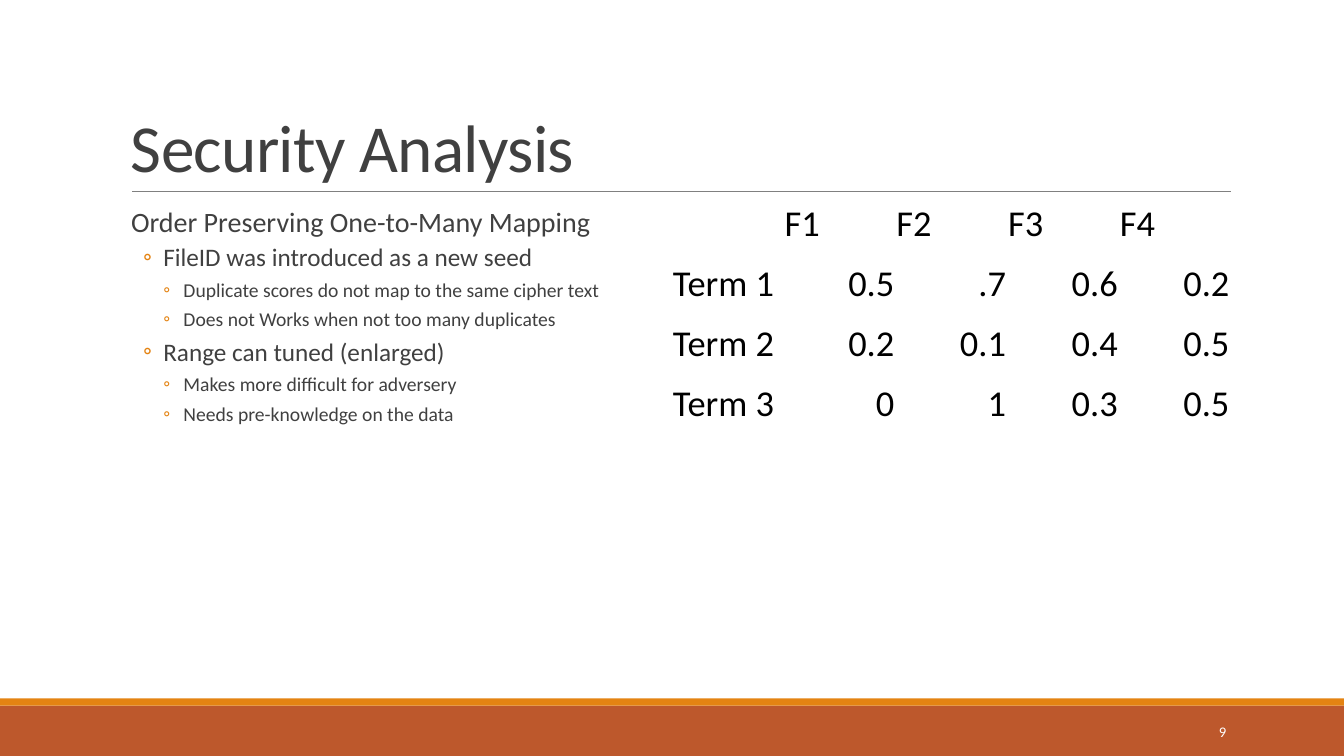
from lxml import etree
from pptx import Presentation
from pptx.dml.color import RGBColor
from pptx.enum.shapes import MSO_CONNECTOR, MSO_SHAPE
from pptx.enum.text import MSO_ANCHOR, PP_ALIGN
from pptx.oxml.ns import qn
from pptx.util import Inches, Pt

RECTANGLE, STRAIGHT = MSO_SHAPE.RECTANGLE, MSO_CONNECTOR.STRAIGHT
BOTTOM, MIDDLE = MSO_ANCHOR.BOTTOM, MSO_ANCHOR.MIDDLE
LEFT, RIGHT = PP_ALIGN.LEFT, PP_ALIGN.RIGHT

FONT = "Calibri"
COLORS = {
    "band": "BD582C", "accent": "E48312", "rule": "808080",
    "text": "404040", "table": "000000", "number": "FFFFFF",
}
NO_GRID_STYLE = "{2D5ABB26-0587-4C30-8999-92F81FD0307C}"
WIDTH, HEIGHT = Inches(13.33), Inches(7.5)

# Per outline level: size, left margin (in), hanging indent (in), space before, space after
LEVELS = [(20, 0.1, 0, 12, 2), (18, 0.42, 0.2, 2, 4), (14, 0.62, 0.2, 2, 4)]
OUTLINE = [
    (0, "Order Preserving One-to-Many Mapping"),
    (1, "FileID was introduced as a new seed"),
    (2, "Duplicate scores do not map to the same cipher text"),
    (2, "Does not Works when not too many duplicates"),
    (1, "Range can tuned (enlarged)"),
    (2, "Makes more difficult for adversery"),
    (2, "Needs pre-knowledge on the data"),
]
SCORES = [
    ["", "F1", "F2", "F3", "F4"],
    ["Term 1", "0.5", ".7", "0.6", "0.2"],
    ["Term 2", "0.2", "0.1", "0.4", "0.5"],
    ["Term 3", "0", "1", "0.3", "0.5"],
]


def color(key):
    return RGBColor.from_string(COLORS[key])


def write(paragraph, text, size, key):
    paragraph.text = text
    for run in paragraph.runs:
        run.font.name, run.font.size = FONT, Pt(size)
        run.font.color.rgb = color(key)


def add_frame(slide, box, anchor):
    frame = slide.shapes.add_textbox(*box).text_frame
    frame.word_wrap = True
    frame.vertical_anchor = anchor
    return frame


def add_footer(slide, box, number):
    left, top, width, height = box
    stripe_height = Inches(0.07)
    bands = [("band", top, height), ("accent", top - stripe_height, stripe_height)]
    for key, band_top, band_height in bands:
        band = slide.shapes.add_shape(RECTANGLE, left, band_top, width, band_height)
        band.shadow.inherit = False
        band.fill.solid()
        band.fill.fore_color.rgb = color(key)
        band.line.fill.background()
    # Page number
    number_box = (left + Inches(10.83), top + Inches(0.06), Inches(1.43), Inches(0.4))
    page = add_frame(slide, number_box, MIDDLE).paragraphs[0]
    write(page, number, 10.5, "number")
    page.alignment = RIGHT


def add_title(slide, box, text):
    left, top, width, height = box
    rule_y = top + height
    rule = slide.shapes.add_connector(
        STRAIGHT, left + Inches(0.11), rule_y, left + width + Inches(0.01), rule_y)
    rule.line.color.rgb = color("rule")
    rule.line.width = Pt(0.5)
    etree.SubElement(rule._element.spPr, qn("a:effectLst"))

    heading = add_frame(slide, box, BOTTOM).paragraphs[0]
    write(heading, text, 48, "text")
    heading.line_spacing = 0.85
    heading.runs[0].font._element.set("spc", "-50")


def add_bullet(properties):
    bullet_color = etree.SubElement(properties, qn("a:buClr"))
    etree.SubElement(bullet_color, qn("a:srgbClr")).set("val", COLORS["accent"])
    etree.SubElement(properties, qn("a:buFont")).set("typeface", FONT)
    etree.SubElement(properties, qn("a:buChar")).set("char", "\u25e6")


def add_outline(slide, box, items):
    frame = add_frame(slide, box, MSO_ANCHOR.TOP)
    frame.margin_left = frame.margin_right = 0
    for index, (level, text) in enumerate(items):
        point = frame.add_paragraph() if index else frame.paragraphs[0]
        size, margin, hanging, before, after = LEVELS[level]
        write(point, text, size, "text")
        point.level = level
        point.line_spacing = 0.9
        point.space_before, point.space_after = Pt(before), Pt(after)
        properties = point._p.get_or_add_pPr()
        properties.set("marL", str(Inches(margin)))
        properties.set("indent", str(-Inches(hanging)))
        if level:
            add_bullet(properties)


def add_scores(slide, box, rows):
    table = slide.shapes.add_table(len(rows), len(rows[0]), *box).table
    table.first_row = table.horz_banding = False
    table._tbl.tblPr.find(qn("a:tableStyleId")).text = NO_GRID_STYLE
    for r, row in enumerate(rows):
        for c, text in enumerate(row):
            cell = table.cell(r, c)
            cell.fill.background()
            cell.vertical_anchor = BOTTOM
            cell.margin_left = cell.margin_right = cell.margin_top = Inches(0.01)
            cell.margin_bottom = 0
            entry = cell.text_frame.paragraphs[0]
            write(entry, text, 26, "table")
            entry.alignment = RIGHT if r and c else LEFT


presentation = Presentation()
presentation.slide_width, presentation.slide_height = WIDTH, HEIGHT
security = presentation.slides.add_slide(presentation.slide_layouts[6])

margin, content_width = Inches(1.2), Inches(11)
footer_top = Inches(7)
add_footer(security, (0, footer_top, WIDTH, HEIGHT - footer_top), "9")
add_title(security, (margin, Inches(0.31), content_width, Inches(1.59)), "Security Analysis")
add_outline(security, (margin, Inches(2.02), content_width, Inches(4.4)), OUTLINE)
add_scores(security, (WIDTH // 2, Inches(1.85), Inches(5.54), Inches(2.38)), SCORES)

presentation.save("out.pptx")
